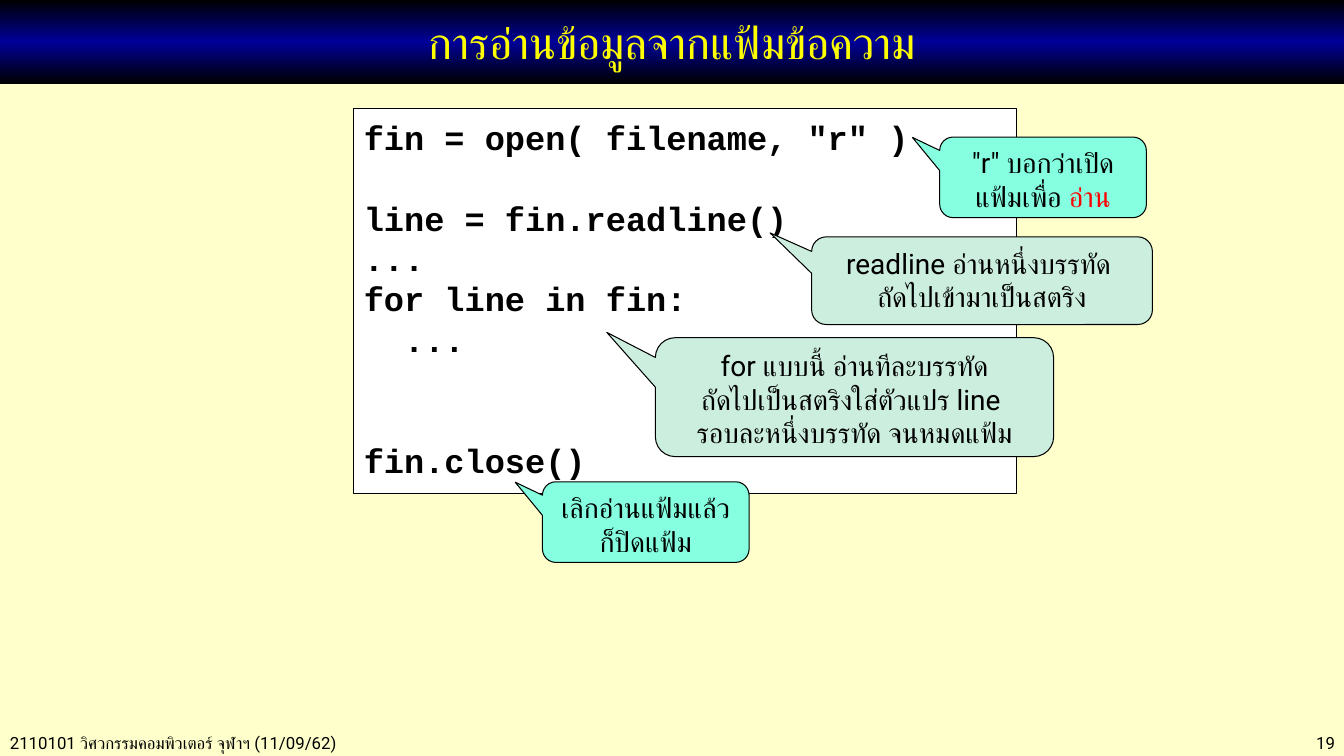
from copy import deepcopy
from dataclasses import dataclass

from pptx import Presentation
from pptx.dml.color import RGBColor
from pptx.enum.shapes import MSO_SHAPE
from pptx.enum.text import MSO_ANCHOR, PP_ALIGN
from pptx.oxml.ns import qn
from pptx.shapes.autoshape import Shape
from pptx.text.text import TextFrame, _Run
from pptx.util import Pt

SCALE = 9144
ROW = 28.8
MINT = "85FFE0"
SAGE = "CCEEDF"
WIDE = (-0.632, -0.495, 0.167)
TALL = (-0.622, -0.545, 0.167)


@dataclass
class Box:
    left: int
    top: int
    width: int
    height: int

    def emu(self) -> list[int]:
        return [n * SCALE for n in (self.left, self.top, self.width, self.height)]


@dataclass
class Note:
    box: Box
    tail: tuple[float, float, float]
    fill: str
    text: str
    accent: str = ""


@dataclass
class Line:
    text: str
    gap: int = 0
    indent: int = 0


@dataclass
class Label:
    box: Box
    text: str
    align: PP_ALIGN


NOTES = [
    Note(Box(932, 136, 205, 80), WIDE, MINT, '"r" บอกว่าเปิดแฟ้มเพื่อ ', "อ่าน"),
    Note(Box(805, 235, 338, 87), TALL, SAGE,
         "readline อ่านหนึ่งบรรทัด \vถัดไปเข้ามาเป็นสตริง"),
    Note(Box(650, 335, 395, 118), TALL, SAGE,
         "for แบบนี้ อ่านทีละบรรทัด\vถัดไปเป็นสตริงใส่ตัวแปร line \v"
         "รอบละหนึ่งบรรทัด จนหมดแฟ้ม"),
    Note(Box(538, 478, 205, 80), WIDE, MINT, "เลิกอ่านแฟ้มแล้วก็ปิดแฟ้ม"),
]
CODE = [
    Line('fin = open( filename, "r" )'),
    Line("line = fin.readline()", gap=1),
    Line("..."),
    Line("for line in fin:"),
    Line("...", indent=1),
    Line("fin.close()", gap=2),
]
LABELS = [
    Label(Box(0, 722, 520, 30), "2110101 วิศวกรรมคอมพิวเตอร์ จุฬาฯ (11/09/62)", PP_ALIGN.LEFT),
    Label(Box(1150, 722, 184, 30), "19", PP_ALIGN.RIGHT),
]


def paint(code: str) -> RGBColor:
    return RGBColor.from_string(code)


def style(run: _Run, size: int, color: str = "000000", face: str = "Roboto") -> None:
    run.font.size = Pt(size)
    run.font.name = face
    run.font.color.rgb = paint(color)


def write(frame: TextFrame, text: str, size: int, align: PP_ALIGN, color: str = "000000") -> None:
    frame.word_wrap = True
    para = frame.paragraphs[0]
    para.text = text
    para.alignment = align
    for run in para.runs:
        style(run, size, color)


def panel(slide, kind: MSO_SHAPE, box: Box, fill: str) -> Shape:
    shape = slide.shapes.add_shape(kind, *box.emu())
    shape.shadow.inherit = False
    shape.fill.solid()
    shape.fill.fore_color.rgb = paint(fill)
    shape.line.color.rgb = paint("000000")
    shape.line.width = Pt(0.75)
    shape.text_frame.vertical_anchor = MSO_ANCHOR.TOP
    return shape


def title(slide) -> None:
    bar = panel(slide, MSO_SHAPE.RECTANGLE, Box(0, 0, 1334, 83), "000099")
    bar.line.fill.background()
    bar.fill.gradient()
    bar.fill.gradient_angle = 90
    stops = bar.element.spPr.find(qn("a:gradFill")).find(qn("a:gsLst"))
    stops.append(deepcopy(stops[0]))
    for stop, place, color in zip(bar.fill.gradient_stops, (0, 0.5, 1),
                                  ("000000", "000099", "000000")):
        stop.position = place
        stop.color.rgb = paint(color)
    bar.text_frame.vertical_anchor = MSO_ANCHOR.MIDDLE
    write(bar.text_frame, "การอ่านข้อมูลจากแฟ้มข้อความ", 32, PP_ALIGN.CENTER, "FFFF00")


def listing(slide) -> None:
    shape = panel(slide, MSO_SHAPE.RECTANGLE, Box(351, 108, 657, 382), "FFFFFF")
    frame = shape.text_frame
    frame.word_wrap = False
    frame.margin_top = 8 * SCALE
    frame.text = "\n".join(line.text for line in CODE)
    for para, line in zip(frame.paragraphs, CODE):
        para.alignment = PP_ALIGN.LEFT
        para.line_spacing = Pt(ROW)
        para.space_before = Pt(ROW * line.gap)
        props = para._p.get_or_add_pPr()
        props.set("marL", str(Pt(ROW * line.indent)))
        props.set("indent", "0")
        for run in para.runs:
            style(run, 24, face="Courier New")
            run.font.bold = True


def callout(slide, note: Note) -> None:
    shape = panel(slide, MSO_SHAPE.ROUNDED_RECTANGULAR_CALLOUT, note.box, note.fill)
    for spot, value in enumerate(note.tail):
        shape.adjustments[spot] = value
    write(shape.text_frame, note.text, 20, PP_ALIGN.CENTER)
    if note.accent:
        run = shape.text_frame.paragraphs[0].add_run()
        run.text = note.accent
        style(run, 20, "FF0000")


def main() -> None:
    deck = Presentation()
    deck.slide_width = 1333 * SCALE
    deck.slide_height = 750 * SCALE
    slide = deck.slides.add_slide(deck.slide_layouts[6])
    slide.background.fill.solid()
    slide.background.fill.fore_color.rgb = paint("FFFFCC")
    for label in LABELS:
        area = slide.shapes.add_textbox(*label.box.emu())
        write(area.text_frame, label.text, 12, label.align)
    title(slide)
    listing(slide)
    for note in NOTES:
        callout(slide, note)
    deck.save("out.pptx")


if __name__ == "__main__":
    main()
